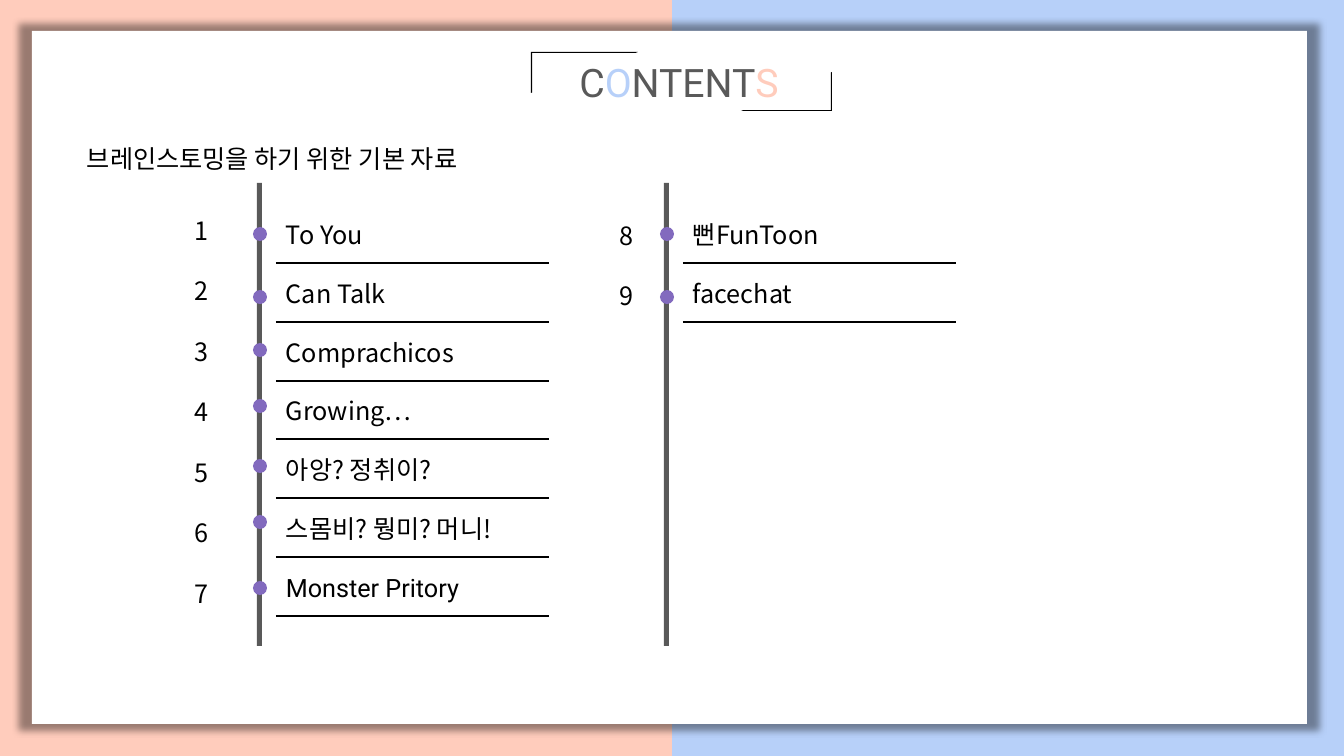
from dataclasses import dataclass

from lxml.etree import SubElement
from pptx import Presentation
from pptx.dml.color import RGBColor
from pptx.enum.shapes import MSO_CONNECTOR, MSO_SHAPE
from pptx.enum.text import MSO_AUTO_SIZE, PP_ALIGN
from pptx.oxml.ns import qn
from pptx.util import Emu, Pt

EMU_PER_PX = 914400 / 100.8
ROW_PITCH = 58.8


@dataclass(frozen=True)
class Theme:
    pink: str = "FFCCBC"
    blue: str = "B7D0F9"
    white: str = "FFFFFF"
    black: str = "000000"
    gray: str = "595959"
    purple: str = "826ABE"
    body_font: str = "Noto Sans CJK KR"
    title_font: str = "Roboto"
    body_size: float = 18
    title_size: float = 28
    number_gap: float = 21.6
    rule_width: float = 1.5


@dataclass(frozen=True)
class Column:
    axis_x: int
    numbers_x: int
    numbers_y: int
    first: int
    entries: tuple  # (text, box width, dot top, font)


def px(n):
    return Emu(round(n * EMU_PER_PX))


class SlideBuilder:
    def __init__(self, slide, theme):
        self.slide = slide
        self.theme = theme

    def shape(self, kind, x, y, w, h, color):
        sp = self.slide.shapes.add_shape(kind, px(x), px(y), px(w), px(h))
        sp.shadow.inherit = False
        sp.fill.solid()
        sp.fill.fore_color.rgb = RGBColor.from_string(color)
        sp.line.fill.background()
        return sp

    def halo(self, sp):
        """Add a soft shadow slightly larger than the shape on every side."""
        effects = sp._element.spPr.find(qn("a:effectLst"))
        shadow = SubElement(effects, qn("a:outerShdw"), blurRad=str(Pt(5)), sx="102000",
                            sy="102000", algn="ctr", rotWithShape="0")
        color = SubElement(shadow, qn("a:srgbClr"), val=self.theme.black)
        SubElement(color, qn("a:alpha"), val="40000")

    def bracket(self, x, y, w, h, rotation=0):
        sp = self.shape(MSO_SHAPE.HALF_FRAME, x, y, w, h, self.theme.black)
        sp.adjustments[0] = 0.024
        sp.adjustments[1] = 0.028
        sp.rotation = rotation

    def rule(self, x, y, w):
        line = self.slide.shapes.add_connector(
            MSO_CONNECTOR.STRAIGHT, px(x), px(y), px(x + w), px(y))
        line.line.color.rgb = RGBColor.from_string(self.theme.black)
        line.line.width = Pt(self.theme.rule_width)
        SubElement(line._element.spPr, qn("a:effectLst"))

    def text_box(self, x, y, w, h):
        tf = self.slide.shapes.add_textbox(px(x), px(y), px(w), px(h)).text_frame
        tf.word_wrap = True
        tf.auto_size = MSO_AUTO_SIZE.SHAPE_TO_FIT_TEXT
        return tf

    def style_run(self, r, font, size, color):
        r.font.size = Pt(size)
        r.font.color.rgb = RGBColor.from_string(color)
        r.font.name = font
        SubElement(r._r.get_or_add_rPr(), qn("a:ea"), typeface=font)

    def text(self, text, x, y, w, h, font=None, gap=0):
        """Add body text, one paragraph per line, with gap points between them."""
        tf = self.text_box(x, y, w, h)
        tf.text = text
        for p in tf.paragraphs:
            for r in p.runs:
                self.style_run(r, font or self.theme.body_font,
                               self.theme.body_size, self.theme.black)
        for p in tf.paragraphs[:-1]:
            p.space_after = Pt(gap)

    def title(self, parts, x, y, w, h):
        p = self.text_box(x, y, w, h).paragraphs[0]
        p.alignment = PP_ALIGN.CENTER
        for text, color in parts:
            r = p.add_run()
            r.text = text
            self.style_run(r, self.theme.title_font, self.theme.title_size, color)

    def column(self, col):
        count = len(col.entries)
        numbers = "\n".join(str(col.first + i) for i in range(count))
        self.text(numbers, col.numbers_x, col.numbers_y, 389, 41 + 61 * (count - 1),
                  gap=self.theme.number_gap)
        self.shape(MSO_SHAPE.RECTANGLE, col.axis_x, 183, 5, 463, self.theme.gray)
        left = col.axis_x + 19
        for i, (name, width, dot_y, font) in enumerate(col.entries):
            offset = round(i * ROW_PITCH)
            self.shape(MSO_SHAPE.OVAL, col.axis_x - 4, dot_y, 14, 14, self.theme.purple)
            self.text(name, left, 214 + offset, width, 40, font)
            self.rule(left, 263 + offset, 273)


def main():
    theme = Theme()
    prs = Presentation()
    prs.slide_width, prs.slide_height = px(1344), px(756)
    s = SlideBuilder(prs.slides.add_slide(prs.slide_layouts[6]), theme)

    s.shape(MSO_SHAPE.RECTANGLE, 672, 0, 672, 756, theme.blue)
    s.shape(MSO_SHAPE.RECTANGLE, 0, 0, 672, 756, theme.pink)
    s.halo(s.shape(MSO_SHAPE.RECTANGLE, 32, 31, 1275, 693, theme.white))

    s.title([("C", theme.gray), ("O", theme.blue), ("NTENT", theme.gray),
             ("S", theme.pink)], 547, 53, 264, 57)
    s.bracket(531, 52, 107, 41)
    s.bracket(741, 72, 91, 39, rotation=180)
    s.text("브레인스토밍을 하기 위한 기본 자료", 77, 138, 477, 40)

    body = theme.body_font
    s.column(Column(257, 185, 210, 1, (
        ("To You", 104, 227, body),
        ("Can Talk", 217, 290, body),
        ("Comprachicos", 217, 343, body),
        ("Growing…", 217, 399, body),
        ("아앙? 정취이?", 217, 459, body),
        ("스몸비? 뭥미? 머니!", 255, 515, body),
        ("Monster Pritory", 255, 581, theme.title_font),
    )))
    s.column(Column(664, 610, 215, 8, (
        ("뻔FunToon", 161, 227, body),
        ("facechat", 217, 290, body),
    )))
    prs.save("out.pptx")


if __name__ == "__main__":
    main()
